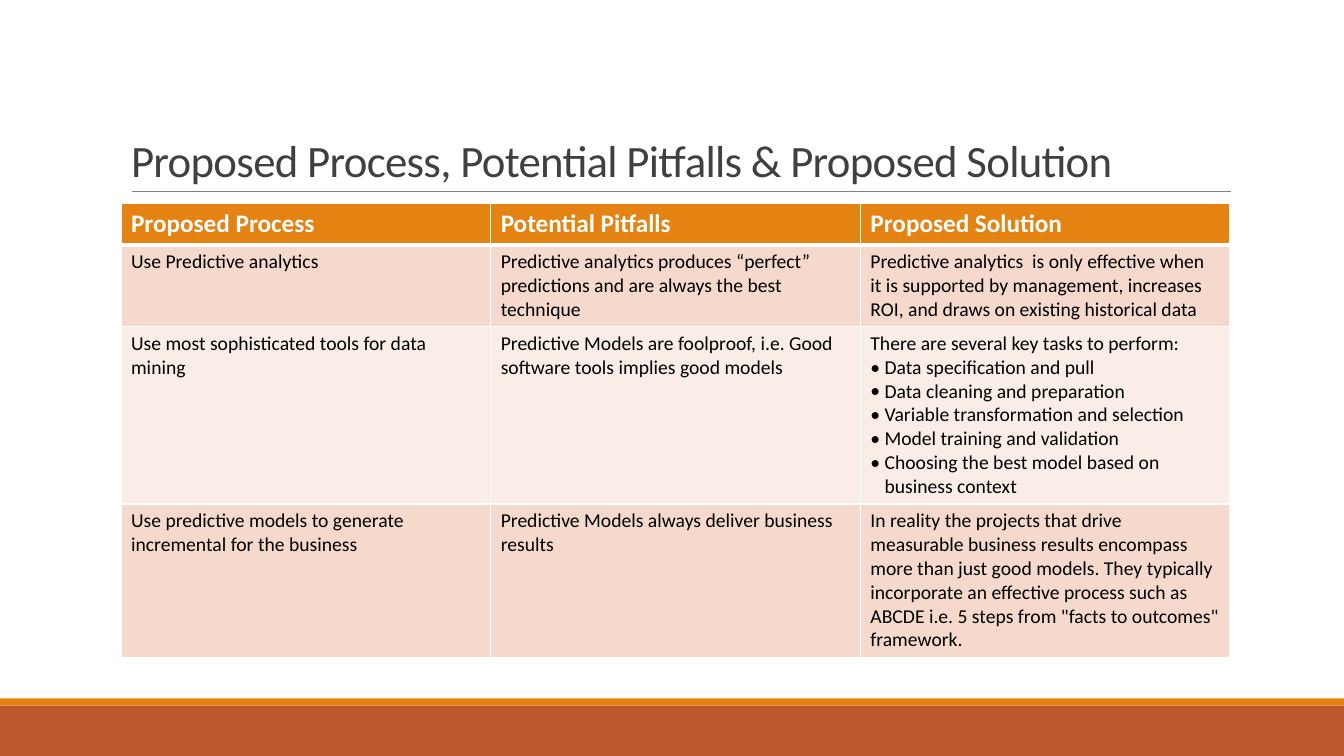
from lxml import etree
from pptx import Presentation
from pptx import util as u
from pptx.dml.color import RGBColor
from pptx.enum import shapes, text
from pptx.oxml import ns

WHITE, BLACK, CHARCOAL, GRAY = "FFFFFF", "000000", "404040", "808080"
ORANGE, RUST = "E48312", "BD582C"
BANDS = ["F5D9CC", "FAEDE7"]
BULLET = "\u2022"

HEADERS = ["Proposed Process", "Potential Pitfalls", "Proposed Solution"]
# Each cell is a list of paragraphs; those after the first are bulleted.
ROWS = [
    [["Use Predictive analytics"],
     ["Predictive analytics produces \u201cperfect\u201d predictions and are always "
      "the best technique"],
     ["Predictive analytics  is only effective when it is supported by management, "
      "increases ROI, and draws on existing historical data"]],
    [["Use most sophisticated tools for data mining"],
     ["Predictive Models are foolproof, i.e. Good software tools implies good models"],
     ["There are several key tasks to perform:",
      "Data specification and pull",
      "Data cleaning and preparation",
      "Variable transformation and selection",
      "Model training and validation",
      "Choosing the best model based on business context"]],
    [["Use predictive models to generate incremental for the business"],
     ["Predictive Models always deliver business results"],
     ["In reality the projects that drive measurable business results encompass more "
      "than just good models. They typically incorporate an effective process such as "
      "ABCDE i.e. 5 steps from \"facts to outcomes\" framework."]],
]
ROW_HEIGHTS = [0.41, 0.8, 1.76, 1.52]


def color(hex_string):
    """Turn a hex string into a colour."""
    return RGBColor.from_string(hex_string)


def add_child(parent, tag, **attributes):
    """Append a drawing element with the given attributes."""
    child = etree.SubElement(parent, ns.qn(tag))
    for name, value in attributes.items():
        child.set(name, str(value))
    return child


class SlideBuilder:
    """Holds the style and the current slide."""

    font = "Calibri"

    def __init__(self, slide):
        """Keep the slide to draw on."""
        self.slide = slide

    def run(self, paragraph, words, size, hex_string, bold=False):
        """Add one formatted run to a paragraph."""
        run = paragraph.add_run()
        run.text = words
        run.font.name = self.font
        run.font.size = u.Pt(size)
        run.font.bold = bold
        run.font.color.rgb = color(hex_string)
        return run

    def title(self, words, left, top, width, height):
        """Place and format the title placeholder."""
        shape = self.slide.shapes.title
        shape.left, shape.top = u.Inches(left), u.Inches(top)
        shape.width, shape.height = u.Inches(width), u.Inches(height)
        frame = shape.text_frame
        frame.word_wrap = True
        frame.auto_size = text.MSO_AUTO_SIZE.NONE
        frame.vertical_anchor = text.MSO_ANCHOR.BOTTOM
        paragraph = frame.paragraphs[0]
        paragraph.alignment = text.PP_ALIGN.LEFT
        paragraph.line_spacing = 0.85
        run = self.run(paragraph, words, 32, CHARCOAL)
        run.font._element.set("spc", "-50")

    def band(self, top, height, hex_string):
        """Draw a full-width coloured band."""
        shape = self.slide.shapes.add_shape(
            shapes.MSO_SHAPE.RECTANGLE, 0, u.Inches(top),
            u.Inches(13.33), u.Inches(height))
        shape.shadow.inherit = False
        shape.fill.solid()
        shape.fill.fore_color.rgb = color(hex_string)
        shape.line.fill.background()

    def rule(self, left, right, top):
        """Draw a thin horizontal line."""
        line = self.slide.shapes.add_connector(
            shapes.MSO_CONNECTOR.STRAIGHT, u.Inches(left), u.Inches(top),
            u.Inches(right), u.Inches(top))
        line.line.color.rgb = color(GRAY)
        line.line.width = u.Pt(0.5)
        add_child(line._element.spPr, "a:effectLst")

    def cell(self, cell, paragraphs, fill, size, hex_string, header=False):
        """Fill one table cell with borders, colour and text."""
        properties = cell._tc.get_or_add_tcPr()
        for side in "LRTB":
            points = 3 if header and side == "B" else 1
            border = add_child(properties, f"a:ln{side}", w=u.Pt(points))
            add_child(add_child(border, "a:solidFill"), "a:srgbClr", val=WHITE)
        cell.fill.solid()
        cell.fill.fore_color.rgb = color(fill)
        frame = cell.text_frame
        for index, words in enumerate(paragraphs):
            paragraph = frame.add_paragraph() if index else frame.paragraphs[0]
            if index:
                self.bullet(paragraph)
            self.run(paragraph, words, size, hex_string, header)

    def bullet(self, paragraph):
        """Give a paragraph a bullet with a hanging indent."""
        properties = paragraph._p.get_or_add_pPr()
        indent = u.Inches(0.14)
        properties.set("marL", str(indent))
        properties.set("indent", str(-indent))
        add_child(properties, "a:buFont", typeface=self.font)
        add_child(properties, "a:buChar", char=BULLET)

    def table(self, left, top, width):
        """Add the table of processes, pitfalls and solutions."""
        table = self.slide.shapes.add_table(
            len(ROW_HEIGHTS), len(HEADERS), u.Inches(left), u.Inches(top),
            u.Inches(width), u.Inches(sum(ROW_HEIGHTS))).table
        table.horz_banding = False
        for row, height in zip(table.rows, ROW_HEIGHTS):
            row.height = u.Inches(height)
        for column, words in enumerate(HEADERS):
            self.cell(table.cell(0, column), [words], ORANGE, 18, WHITE, header=True)
        for index, row in enumerate(ROWS):
            for column, paragraphs in enumerate(row):
                self.cell(table.cell(index + 1, column), paragraphs,
                          BANDS[index % 2], 14, BLACK)


def main():
    """Build and save the presentation."""
    presentation = Presentation()
    presentation.slide_width = u.Inches(13.33)
    presentation.slide_height = u.Inches(7.5)
    builder = SlideBuilder(presentation.slides.add_slide(presentation.slide_layouts[5]))
    builder.band(7, 0.5, RUST)
    builder.band(6.93, 0.07, ORANGE)
    builder.rule(1.31, 12.21, 1.9)
    builder.title("Proposed Process, Potential Pitfalls & Proposed Solution",
                  1.2, 0.31, 11, 1.59)
    builder.table(1.2, 2.02, 11)
    presentation.save("out.pptx")


main()
